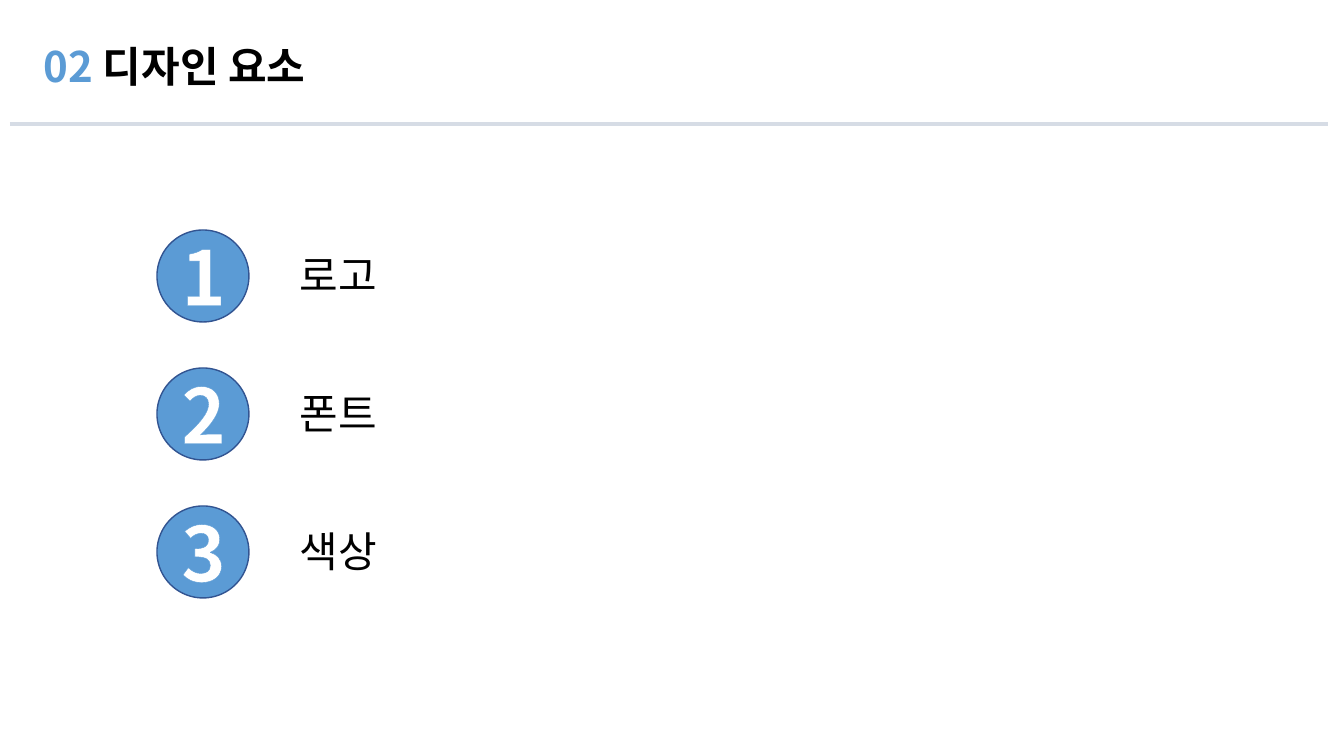
from dataclasses import dataclass

from lxml import etree
from pptx import Presentation
from pptx.dml.color import RGBColor
from pptx.enum.shapes import MSO_CONNECTOR, MSO_SHAPE
from pptx.enum.text import MSO_ANCHOR, MSO_AUTO_SIZE, PP_ALIGN
from pptx.oxml.ns import qn
from pptx.slide import Slide
from pptx.text.text import Font
from pptx.util import Emu, Pt

STRAIGHT = MSO_CONNECTOR.STRAIGHT
OVAL = MSO_SHAPE.OVAL
TOP = MSO_ANCHOR.TOP
FIT_SHAPE = MSO_AUTO_SIZE.SHAPE_TO_FIT_TEXT
LEFT, CENTER = PP_ALIGN.LEFT, PP_ALIGN.CENTER

BLUE = RGBColor(0x5B, 0x9B, 0xD5)
DARK_BLUE = RGBColor(0x32, 0x54, 0x91)
PALE_GRAY = RGBColor(0xD6, 0xDC, 0xE5)
BLACK = RGBColor(0, 0, 0)
WHITE = RGBColor(255, 255, 255)

FONT_NAME = "Noto Sans CJK KR"
EMU_PER_PIXEL = 914400 / 100.8
FIRST_TOP = 230
ROW_STEP = 138
TOPICS = ["로고", "폰트", "색상"]


@dataclass
class Span:
    text: str
    color: RGBColor
    size: int = 30
    bold: bool = False
    outline: RGBColor | None = None


@dataclass
class TextBox:
    left: int
    top: int
    width: int
    height: int
    spans: list[Span]
    align: PP_ALIGN = LEFT
    wrap: bool = True


def px(length: int) -> Emu:
    return Emu(round(length * EMU_PER_PIXEL))


def outline_text(font: Font, color: RGBColor) -> None:
    properties = font._element
    line = etree.Element(qn("a:ln"), w=str(Pt(0.8)))
    fill = etree.SubElement(line, qn("a:solidFill"))
    etree.SubElement(fill, qn("a:srgbClr"), val=str(color))
    properties.insert(0, line)


def format_span(font: Font, span: Span) -> None:
    values = {"name": FONT_NAME, "size": Pt(span.size), "bold": span.bold}
    for name, value in values.items():
        setattr(font, name, value)
    font.color.rgb = span.color
    east_asian = etree.SubElement(font._element, qn("a:ea"))
    east_asian.set("typeface", FONT_NAME)
    if span.outline is not None:
        outline_text(font, span.outline)


def draw_text(page: Slide, item: TextBox) -> None:
    box = page.shapes.add_textbox(
        px(item.left), px(item.top), px(item.width), px(item.height)
    )
    frame = box.text_frame
    values = {
        "word_wrap": item.wrap,
        "auto_size": FIT_SHAPE,
        "vertical_anchor": TOP,
    }
    for name, value in values.items():
        setattr(frame, name, value)
    para = frame.paragraphs[0]
    para.alignment = item.align
    for span in item.spans:
        run = para.add_run()
        run.text = span.text
        format_span(run.font, span)


def draw_divider(page: Slide) -> None:
    divider = page.shapes.add_connector(
        STRAIGHT, px(10), px(124), px(1328), px(124)
    )
    divider.line.color.rgb = PALE_GRAY
    divider.line.width = Pt(2.25)
    etree.SubElement(divider._element.spPr, qn("a:effectLst"))


def draw_circle(page: Slide, top: int) -> None:
    circle = page.shapes.add_shape(OVAL, px(157), px(top), px(92), px(92))
    circle.shadow.inherit = False
    circle.fill.solid()
    circle.fill.fore_color.rgb = BLUE
    circle.line.color.rgb = DARK_BLUE
    circle.line.width = Pt(1)


def draw_topic(page: Slide, number: int, topic: str) -> None:
    top = FIRST_TOP + (number - 1) * ROW_STEP
    draw_circle(page, top)
    draw_text(page, TextBox(290, top + 15, 704, 61, [Span(topic, BLACK)]))
    digit = Span(str(number), WHITE, size=54, bold=True, outline=BLUE)
    draw_text(page, TextBox(171, top - 5, 65, 102, [digit], CENTER, False))


def main() -> None:
    deck = Presentation()
    deck.slide_width, deck.slide_height = px(1344), px(756)
    page = deck.slides.add_slide(deck.slide_layouts[6])
    draw_divider(page)
    heading = [
        Span("02 ", BLUE, bold=True),
        Span("디자인 요소", BLACK, bold=True),
    ]
    draw_text(page, TextBox(34, 36, 1293, 61, heading))
    for number, topic in enumerate(TOPICS, start=1):
        draw_topic(page, number, topic)
    deck.save("out.pptx")


if __name__ == "__main__":
    main()
